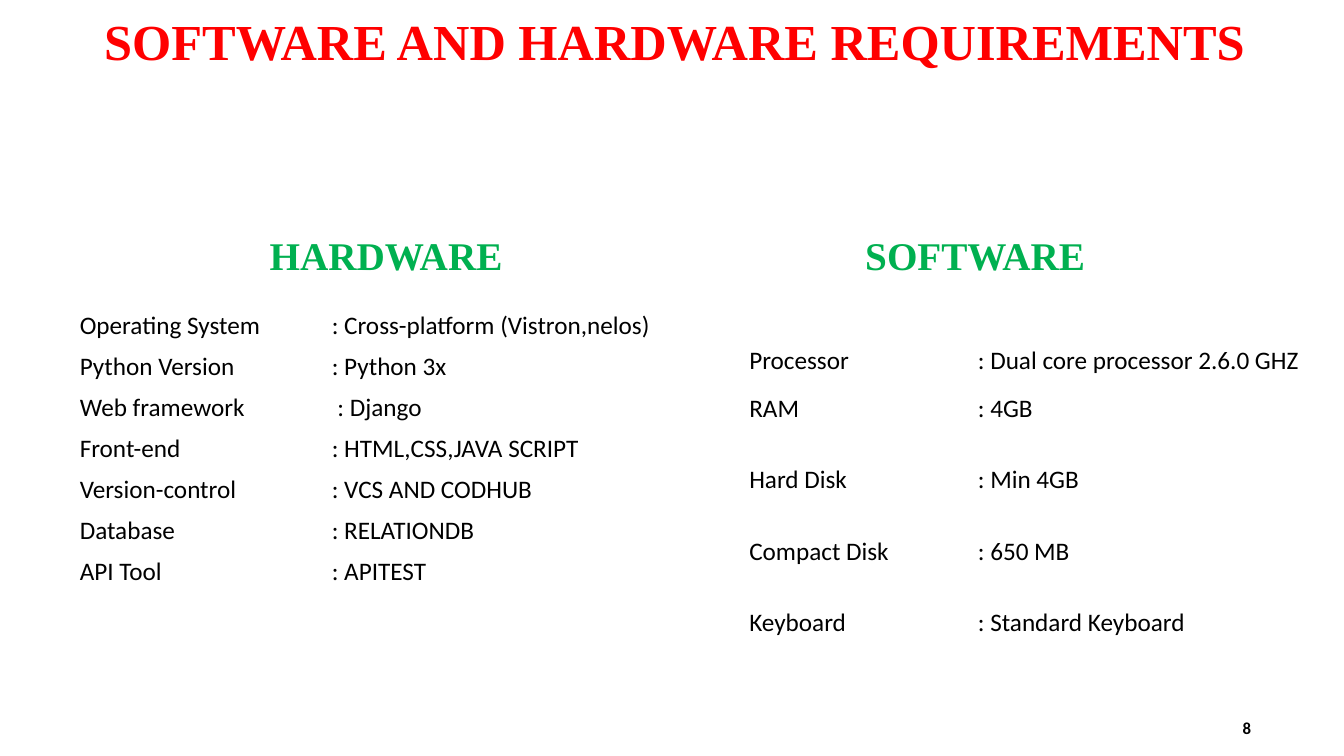
from pptx import Presentation
from pptx.dml.color import RGBColor
from pptx.enum.text import MSO_ANCHOR as Anchor, PP_ALIGN as Align
from pptx.util import Pt

RED, GREEN, BLACK = "FF0000", "00B050", "000000"
SERIF, SANS = "Times New Roman", "Calibri"
NO_STYLE = "{2D5ABB26-0587-4C30-8999-92F81FD0307C}"

presentation = Presentation()
presentation.slide_width, presentation.slide_height = Pt(960), Pt(540)
slide = presentation.slides.add_slide(presentation.slide_layouts[6])


def add_run(paragraph, text, size, font, color, bold=False):
    run = paragraph.add_run()
    run.text = text
    run.font.size = Pt(size)
    run.font.name = font
    run.font.bold = bold
    run.font.color.rgb = RGBColor.from_string(color)


# Title, headings and page number: text, box, anchor, alignment, line spacing, font
labels = [
    ("SOFTWARE AND HARDWARE REQUIREMENTS ", (6.5, 10, 960, 42.5),
     Anchor.MIDDLE, Align.CENTER, 0.9, (36, SERIF, RED)),
    ("HARDWARE", (72.7, 137.5, 406, 65), Anchor.BOTTOM, Align.CENTER, 0.9, (28, SERIF, GREEN)),
    ("SOFTWARE", (492.5, 137.5, 408, 65), Anchor.BOTTOM, Align.CENTER, 0.9, (28, SERIF, GREEN)),
    ("8", (684.7, 505.5, 216, 28.8), Anchor.MIDDLE, Align.RIGHT, 1, (12, SANS, BLACK)),
]
for text, box, anchor, alignment, line_spacing, style in labels:
    frame = slide.shapes.add_textbox(*map(Pt, box)).text_frame
    frame.word_wrap = True
    frame.vertical_anchor = anchor
    paragraph = frame.paragraphs[0]
    paragraph.alignment = alignment
    paragraph.line_spacing = line_spacing
    add_run(paragraph, text, *style, bold=True)

software = [
    ("Processor", ": Dual core processor 2.6.0 GHZ"),
    ("RAM", ": 4GB"),
    ("Hard Disk", ": Min 4GB"),
    ("Compact Disk", ": 650 MB"),
    ("Keyboard", ": Standard Keyboard"),
]
hardware = [
    ("Operating System", ": Cross-platform (Vistron,nelos)"),
    ("Python Version", ": Python 3x"),
    ("Web framework", " : Django"),
    ("Front-end", ": HTML,CSS,JAVA SCRIPT"),
    ("Version-control", ": VCS AND CODHUB"),
    ("Database", ": RELATIONDB"),
    ("API Tool", ": APITEST"),
]

# Rows, left, top, column widths, first row height, height of the other rows
tables = [
    (software, 528, 243.5, (163.3, 275.5), 33.8, 51.1),
    (hardware, 49.8, 218.3, (180, 414.7), 29.3, 29.3),
]
for rows, left, top, widths, first_height, row_height in tables:
    heights = [first_height] + [row_height] * (len(rows) - 1)
    table = slide.shapes.add_table(len(rows), 2, Pt(left), Pt(top),
                                   Pt(sum(widths)), Pt(sum(heights))).table
    table.first_row = table.horz_banding = False
    table._tbl.tblPr[0].text = NO_STYLE
    for column, width in zip(table.columns, widths):
        column.width = Pt(width)
    for row, height, texts in zip(table.rows, heights, rows):
        row.height = Pt(height)
        for cell, text in zip(row.cells, texts):
            cell.fill.background()
            add_run(cell.text_frame.paragraphs[0], text, 18, SANS, BLACK)

presentation.save("out.pptx")
